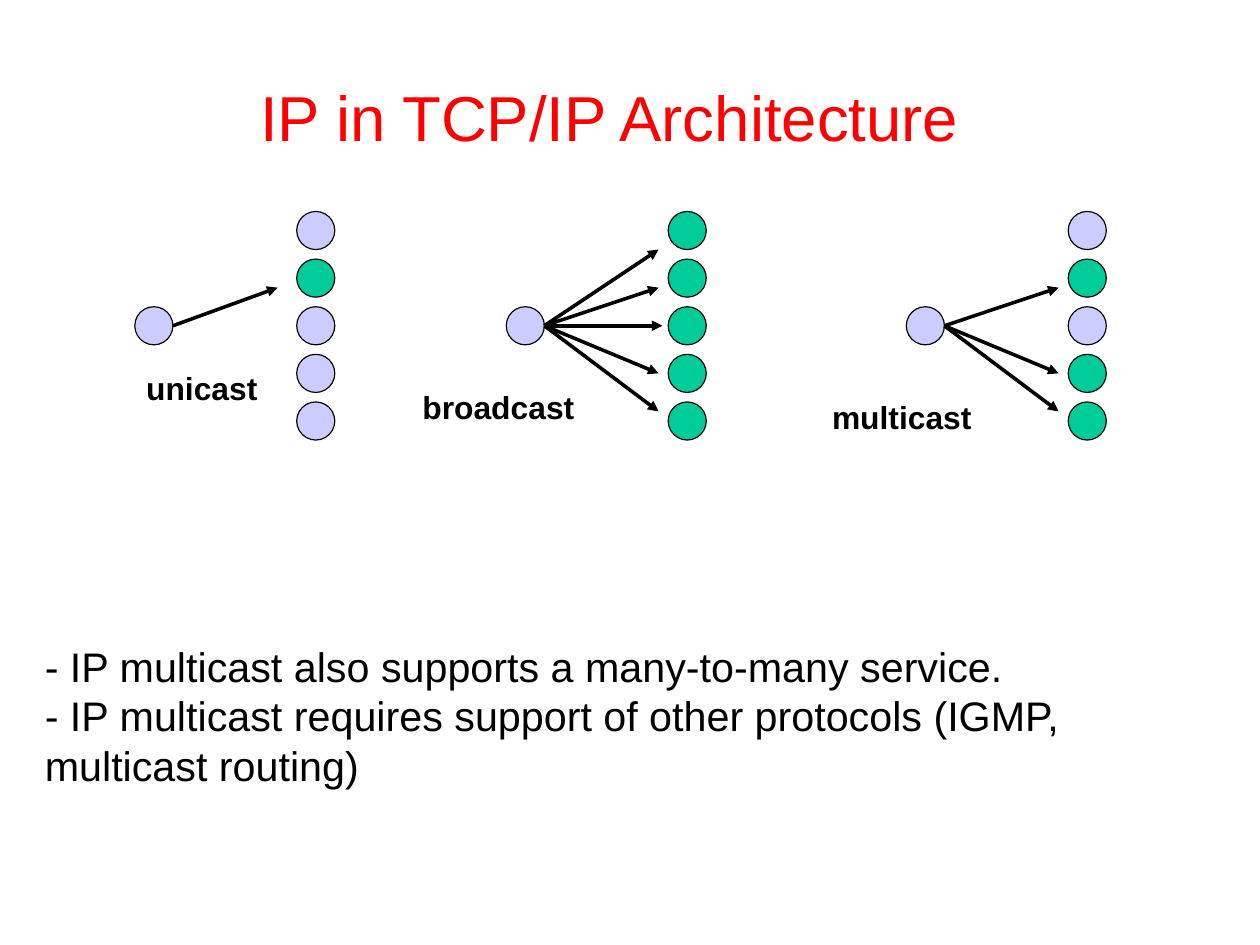
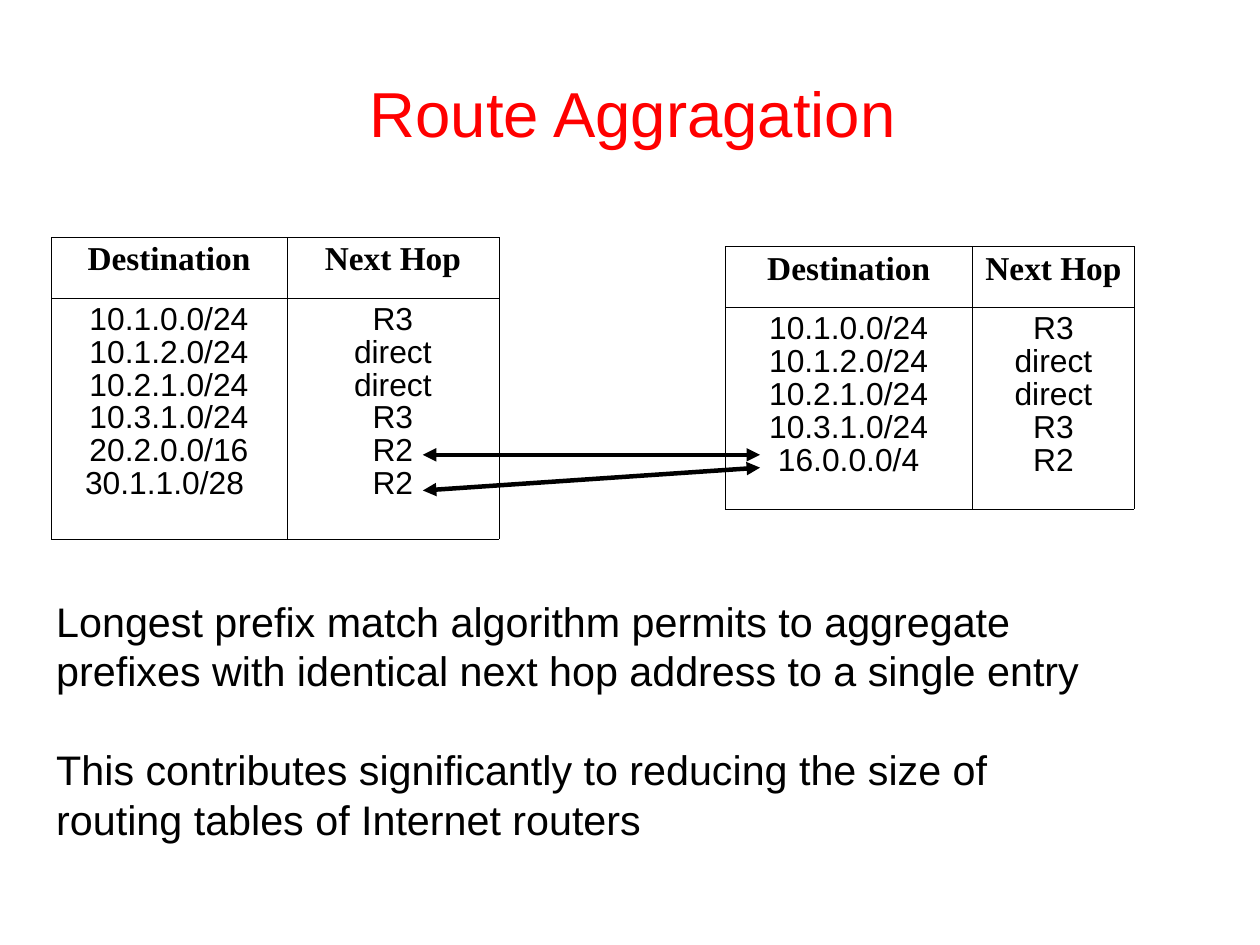
"""Build two slides on IP delivery modes and route aggregation."""
from collections import namedtuple

from lxml.etree import SubElement
from pptx import Presentation
from pptx.dml.color import RGBColor
from pptx.enum.shapes import MSO_CONNECTOR, MSO_SHAPE
from pptx.enum.text import MSO_ANCHOR, PP_ALIGN
from pptx.oxml.ns import qn
from pptx.util import Cm, Inches, Pt

Theme = namedtuple("Theme", "title ink node reached paper formats")
theme = Theme(
    title=RGBColor.from_string("FF0000"),
    ink=RGBColor.from_string("000000"),
    node=RGBColor.from_string("CCCCFF"),
    reached=RGBColor.from_string("00CC99"),
    paper=RGBColor.from_string("FFFFFF"),
    formats={
        "title": {"name": "Arial", "size": Pt(40), "bold": False},
        "body": {"name": "Arial", "size": Pt(26), "bold": False},
        "label": {"name": "Arial", "size": Pt(20), "bold": True},
        "header": {"name": "Times New Roman", "size": Pt(21), "bold": True},
        "entry": {"name": "Arial", "size": Pt(20), "bold": False},
    },
)
LINE_SPACING = {"title": 1, "body": 1, "label": 1, "header": 0.95, "entry": 0.93}
CENTRED = ("title", "header", "entry")
PARAGRAPH_GAP = Pt(31)


def grid(*steps):
    """Turn steps of a grid with twelve columns or rows to the inch into lengths."""
    return [Inches(step / 12) for step in steps]


def write(frame, paragraphs, style, gap=0):
    """Fill a text frame with paragraphs in one style of the theme."""
    for index, words in enumerate(paragraphs):
        para = frame.add_paragraph() if index else frame.paragraphs[0]
        para.text = words
        para.line_spacing = LINE_SPACING[style]
        para.alignment = PP_ALIGN.CENTER if style in CENTRED else PP_ALIGN.LEFT
        if index:
            para.space_before = gap
        for span in para.runs:
            for name, value in theme.formats[style].items():
                setattr(span.font, name, value)
            span.font.color.rgb = theme.title if style == "title" else theme.ink


deck = Presentation()
deck.slide_width = Cm(28)
deck.slide_height = Cm(21)
blank = deck.slide_layouts[6]
casting = deck.slides.add_slide(blank)
routing = deck.slides.add_slide(blank)

texts = [
    (casting, (-2.4, 3.9, 134.6, 16.6), "title", 0, ["IP in TCP/IP Architecture "]),
    (casting, (4.7, 67.3, 118.2, 15.5), "body", 0, [
        "- IP multicast also supports a many-to-many service.",
        "- IP multicast requires support of other protocols (IGMP, multicast routing)",
    ]),
    (casting, (14.15, 38.15, 16, 5.3), "label", 1.2, ["unicast"]),
    (casting, (43.15, 40.15, 20, 5.3), "label", 1.2, ["broadcast"]),
    (casting, (86.15, 41.15, 20, 5.3), "label", 1.2, ["multicast"]),
    (routing, (1.4, 3.5, 130, 16.6), "title", 0, ["Route Aggragation"]),
    (routing, (4.7, 62, 113.4, 25.4), "body", 1.2, [
        "Longest prefix match algorithm permits to aggregate prefixes with identical "
        "next hop address to a single entry",
        "This contributes significantly to reducing the size of routing tables of "
        "Internet routers",
    ]),
]
for page, place, style, inset, paragraphs in texts:
    frame = page.shapes.add_textbox(*grid(*place)).text_frame
    frame.word_wrap = True
    frame.vertical_anchor = MSO_ANCHOR.MIDDLE if style == "title" else MSO_ANCHOR.TOP
    frame.margin_left, frame.margin_right = grid(inset, inset)
    frame.margin_top, frame.margin_bottom = grid(inset / 2, inset / 2)
    write(frame, paragraphs, style, PARAGRAPH_GAP if page is routing else 0)

DIAMETER, PITCH, TOP, TO_RECEIVERS = 4, 5, 22.2, 17
HUB_TOP = TOP + 2 * PITCH
ARROW_DROPS = [-8, -4, 0, 5, 9]
arrows = []
for left, reach, receivers in [
    (14.15, 15, {1}),
    (53.15, 16, {0, 1, 2, 3, 4}),
    (95.15, 16, {1, 3, 4}),
]:
    nodes = [(left, HUB_TOP, theme.node)]
    for row, drop in enumerate(ARROW_DROPS):
        colour = theme.reached if row in receivers else theme.node
        nodes.append((left + TO_RECEIVERS, TOP + row * PITCH, colour))
        if row in receivers:
            start_y = HUB_TOP + DIAMETER / 2
            end_x = left + reach + (0 if drop else 0.4)
            ends = (left + DIAMETER, start_y, end_x, start_y + drop)
            arrows.append((casting, ends, 2.25, ["tailEnd"]))
    for x, y, colour in nodes:
        circle = casting.shapes.add_shape(
            MSO_SHAPE.OVAL, *grid(x, y, DIAMETER, DIAMETER))
        circle.shadow.inherit = False
        circle.fill.solid()
        circle.fill.fore_color.rgb = colour
        circle.line.color.rgb = theme.ink
        circle.line.width = Pt(0.75)

shared = ["10.1.0.0/24", "10.1.2.0/24", "10.2.1.0/24", "10.3.1.0/24"]
hops = ["R3", "direct", "direct", "R3", "R2"]
tables = [
    ((76.1, 25.85), (26, 17), (6.4, 21.2), shared + ["16.0.0.0/4"], hops),
    ((5.4, 24.9), (24.7, 22.3), (6.4, 25.3),
     shared + ["20.2.0.0/16", "30.1.1.0/28 "], hops + ["R2"]),
]
for corner, widths, heights, destinations, next_hops in tables:
    table = routing.shapes.add_table(
        2, 2, *grid(*corner, sum(widths), sum(heights))).table
    table.first_row = table.horz_banding = False
    for column, width in zip(table.columns, grid(*widths)):
        column.width = width
    for row, height in zip(table.rows, grid(*heights)):
        row.height = height
    words = ["Destination", "Next Hop", "\v".join(destinations), "\v".join(next_hops)]
    for index, (cell, content) in enumerate(zip(table.iter_cells(), words)):
        write(cell.text_frame, [content], "header" if index < 2 else "entry")
        cell.fill.solid()
        cell.fill.fore_color.rgb = theme.paper
        properties = cell._tc.get_or_add_tcPr()
        for position, side in enumerate(["lnL", "lnR", "lnT", "lnB"]):
            border = SubElement(properties, qn(f"a:{side}"), w=str(Pt(0.11)))
            fill = SubElement(border, qn("a:solidFill"))
            SubElement(fill, qn("a:srgbClr"), val=str(theme.ink))
            properties.insert(position, border)

for start_y, end_y in [(47.75, 47.75), (51.5, 49.1)]:
    ends = (44.4, start_y, 79.8, end_y)
    arrows.append((routing, ends, 2.83, ["headEnd", "tailEnd"]))

for page, ends, width, heads in arrows:
    arrow = page.shapes.add_connector(MSO_CONNECTOR.STRAIGHT, *grid(*ends))
    arrow.line.color.rgb = theme.ink
    arrow.line.width = Pt(width)
    for head in heads:
        SubElement(arrow.line._get_or_add_ln(), qn(f"a:{head}"), type="triangle")
    SubElement(arrow._element.spPr, qn("a:effectLst"))

deck.save("out.pptx")
